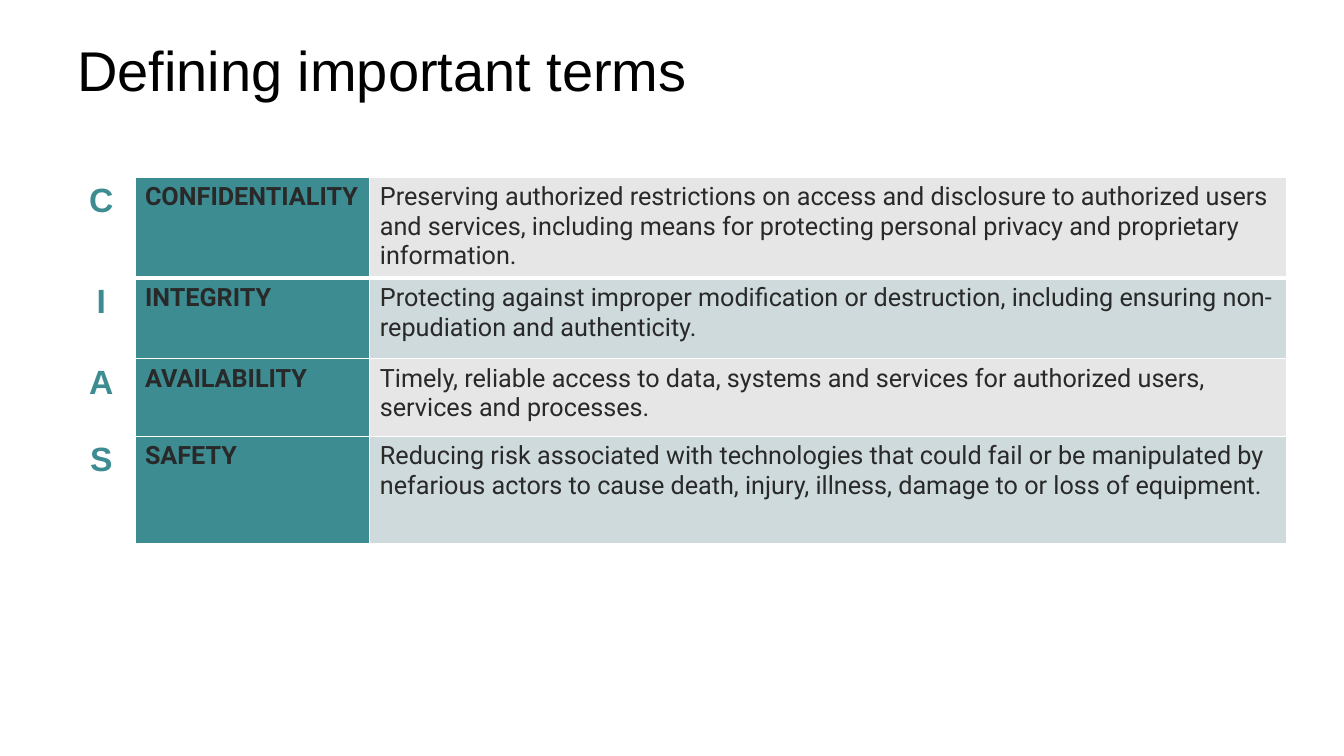
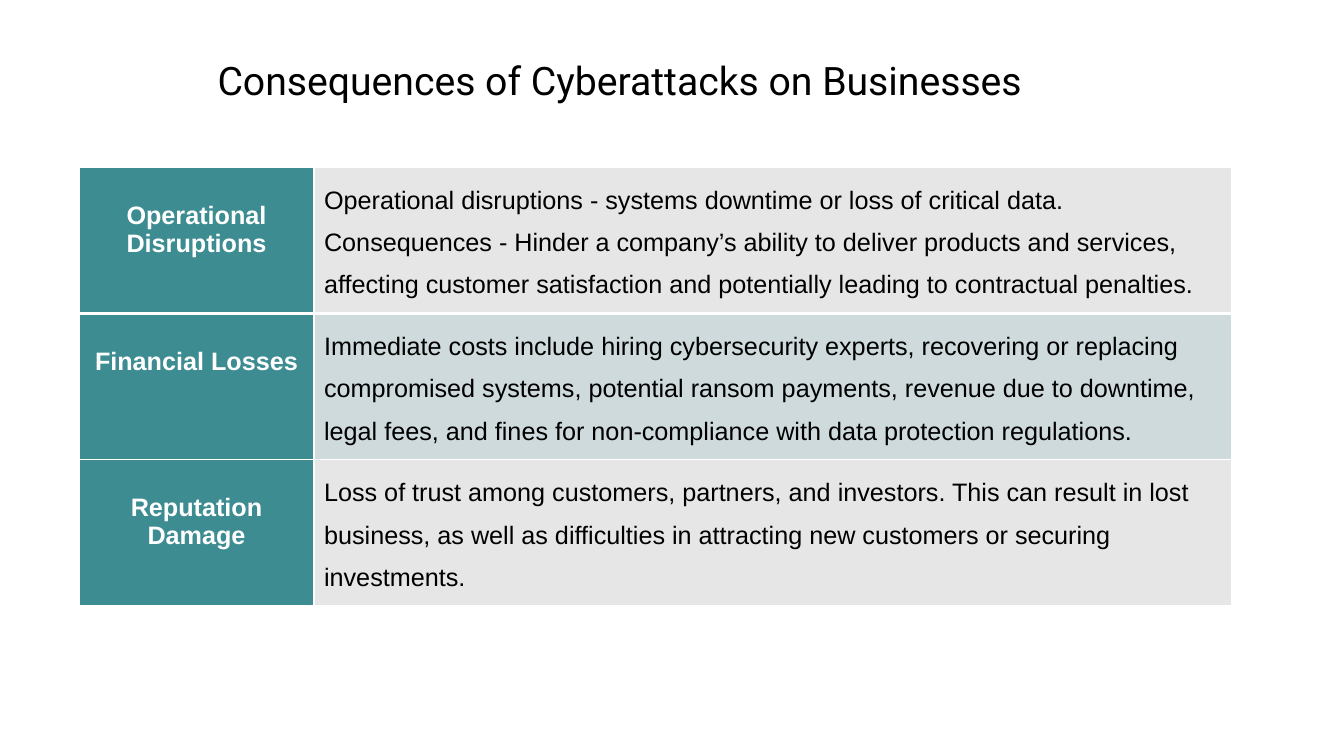
"""Build two slides on security terms and the consequences of cyberattacks."""
from lxml.etree import SubElement
from pptx import Presentation
from pptx.dml.color import RGBColor
from pptx.enum.text import MSO_ANCHOR, PP_ALIGN
from pptx.oxml.ns import qn
from pptx.util import Pt

COLORS = {"teal": "3C8C92", "grey": "E6E6E6", "mist": "CEDADC",
          "white": "FFFFFF", "black": "000000", "ink": "292929"}
BANDS = ("grey", "mist")
LABEL_W, BODY_W = 167.8, 655.2

LETTER = {"size": 24, "name": "Arial", "bold": True, "color": "teal", "align": PP_ALIGN.CENTER}
TERM = {"size": 18, "name": "Roboto", "bold": True, "color": "ink"}
MEANING = {**TERM, "bold": False}
IMPACT = {"size": 18, "name": "Arial", "bold": True, "color": "white", "align": PP_ALIGN.CENTER,
          "margin_top": 24.3}
DETAIL = {"size": 18, "name": "Arial", "bold": False, "color": "black", "line_spacing": 1.5}

TERMS = [
    ("C", "CONFIDENTIALITY", "Preserving authorized restrictions on access and disclosure to authorized users "
     "and services, including means for protecting personal privacy and proprietary information."),
    ("I", "INTEGRITY", "Protecting against improper modification or destruction, including ensuring "
     "non-repudiation and authenticity."),
    ("A", "AVAILABILITY", "Timely, reliable access to data, systems and services for authorized users, "
     "services and processes."),
    ("S", "SAFETY", "Reducing risk associated with technologies that could fail or be manipulated by "
     "nefarious actors to cause death, injury, illness, damage to or loss of equipment."),
]
IMPACTS = [
    ("Operational Disruptions", "Operational disruptions - systems downtime or loss of critical data.\n"
     "Consequences - Hinder a company’s ability to deliver products and services, affecting customer "
     "satisfaction and potentially leading to contractual penalties."),
    ("Financial Losses", "Immediate costs include hiring cybersecurity experts, recovering or replacing "
     "compromised systems, potential ransom payments, revenue due to downtime, legal fees, and fines for "
     "non-compliance with data protection regulations."),
    ("Reputation Damage", "Loss of trust among customers, partners, and investors. This can result in lost "
     "business, as well as difficulties in attracting new customers or securing investments."),
]


def rgb(name):
    """Return the named colour."""
    return RGBColor.from_string(COLORS[name])


def write(tf, text, fmt):
    """Fill a text frame with one formatted paragraph per line of text."""
    for i, line in enumerate(text.split("\n")):
        p = tf.add_paragraph() if i else tf.paragraphs[0]
        p.alignment = fmt.get("align", PP_ALIGN.LEFT)
        p.line_spacing = fmt.get("line_spacing", 1.0)
        r = p.add_run()
        r.text = line
        r.font.color.rgb = rgb(fmt["color"])
        for key, value in {"size": Pt(fmt["size"]), "name": fmt["name"], "bold": fmt["bold"]}.items():
            setattr(r.font, key, value)


def add_title(slide, text, box, size, name):
    """Add a slide title centred vertically in its box."""
    tf = slide.shapes.add_textbox(*map(Pt, box)).text_frame
    for key, value in {"word_wrap": True, "vertical_anchor": MSO_ANCHOR.MIDDLE}.items():
        setattr(tf, key, value)
    write(tf, text, {"size": size, "name": name, "bold": False, "color": "black"})


def add_borders(cell, top, bottom):
    """Draw white cell borders with the given top and bottom widths."""
    tcPr = cell._tc.get_or_add_tcPr()
    for i, (side, width) in enumerate({"lnL": 1, "lnR": 1, "lnT": top, "lnB": bottom}.items()):
        ln = tcPr.makeelement(qn("a:" + side), {"w": str(Pt(width))})
        fill = SubElement(ln, qn("a:solidFill"))
        SubElement(fill, qn("a:srgbClr"), val=COLORS["white"])
        tcPr.insert(i, ln)


def add_grid(slide, left, top, widths, heights, rows, fills, formats):
    """Add a table whose last column alternates between the band colours."""
    frame = slide.shapes.add_table(len(rows), len(widths), Pt(left), Pt(top),
                                   Pt(sum(widths)), Pt(sum(heights)))
    table = frame.table
    for key in ("first_row", "horz_banding"):
        setattr(table, key, False)
    for column, width in zip(table.columns, widths):
        column.width = Pt(width)
    for i, (texts, height) in enumerate(zip(rows, heights)):
        table.rows[i].height = Pt(height)
        row_fills = (*fills, BANDS[i % 2])
        for j, (text, color, fmt) in enumerate(zip(texts, row_fills, formats)):
            cell = table.cell(i, j)
            cell.fill.solid()
            cell.fill.fore_color.rgb = rgb(color)
            cell.margin_top = Pt(fmt.get("margin_top", 3.6))
            add_borders(cell, 3 if i == 1 else 1, 3 if i == 0 else 1)
            write(cell.text_frame, text, fmt)


def main():
    """Build and save the presentation."""
    prs = Presentation()
    prs.slide_width, prs.slide_height = Pt(960), Pt(540)
    blank = prs.slide_layouts[6]

    terms = prs.slides.add_slide(blank)
    add_title(terms, "Defining important terms", (48, 18, 864, 62.6), 40, "Arial")
    add_grid(terms, 48.2, 126.7, (48.2, LABEL_W, BODY_W), (70.5, 57.6, 55.4, 76.3),
             TERMS, ("white", "teal"), (LETTER, TERM, MEANING))

    impacts = prs.slides.add_slide(blank)
    add_title(impacts, "Consequences of Cyberattacks on Businesses", (148.3, 20.5, 595.4, 72.7), 28, "Roboto")
    add_grid(impacts, 56.5, 119.5, (LABEL_W, BODY_W), [97.6] * len(IMPACTS),
             IMPACTS, ("teal",), (IMPACT, DETAIL))

    prs.save("out.pptx")


if __name__ == "__main__":
    main()
